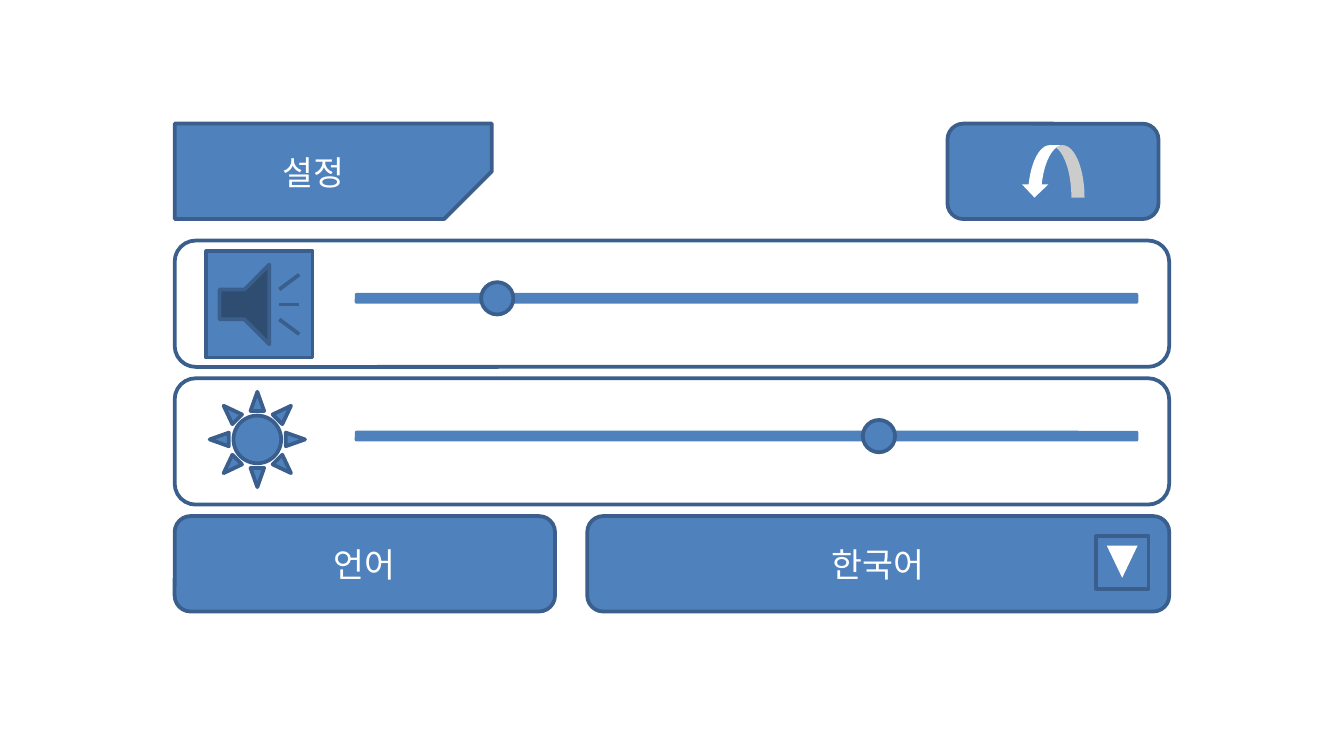
from pptx import Presentation
from pptx.dml.color import RGBColor as RGB
from pptx.enum.shapes import MSO_SHAPE as Kind
from pptx.enum.text import MSO_ANCHOR as Anchor, PP_ALIGN as Align
from pptx.oxml.ns import qn
from pptx.util import Inches, Pt
from lxml.etree import SubElement

THEME = {
    "fill": RGB.from_string("4F81BD"),
    "line": RGB.from_string("3A5F8C"),
    "white": RGB.from_string("FFFFFF"),
    "font": "Noto Sans CJK KR",
    "size": Pt(18),
    "edge": Pt(2),
}
CELL = Inches(0.1)  # the slide is a grid of 100 columns by 56.25 rows

deck = Presentation()
deck.slide_width = int(100 * CELL)
deck.slide_height = int(56.25 * CELL)
slide = deck.slides.add_slide(deck.slide_layouts[6])


def draw(kind, col, row, wide, high, fill="fill", edge=True, flip=None):
    """Add a shape placed in grid cells; flip is flipH or flipV."""
    shape = slide.shapes.add_shape(
        kind, *(int(n * CELL) for n in (col, row, wide, high)))
    shape.shadow.inherit = False
    if fill:
        shape.fill.solid()
        shape.fill.fore_color.rgb = THEME[fill]
    else:
        shape.fill.background()
    if edge:
        shape.line.color.rgb = THEME["line"]
        shape.line.width = THEME["edge"]
    else:
        shape.line.fill.background()
    if flip:
        shape._element.spPr.find(qn("a:xfrm")).set(flip, "1")
    return shape


def write(frame, text, align):
    frame.text = text
    frame.paragraphs[0].alignment = align
    run = frame.paragraphs[0].runs[0]
    run.font.name = THEME["font"]
    run.font.size = THEME["size"]
    run.font.color.rgb = THEME["white"]
    SubElement(run.font._element, qn("a:ea")).set("typeface", THEME["font"])


left, right = 13, 87
bar = 7.1  # height of the title and button rows

# Title tab and back button
tab = draw(Kind.SNIP_1_RECTANGLE, left, 9.2, 23.6, bar, flip="flipV")
tab.adjustments[0] = 0.5
title = slide.shapes.add_textbox(
    *(int(n * CELL) for n in (20.05, 10.8, 11, 4)))
title.text_frame.word_wrap = True
write(title.text_frame, "설정", Align.LEFT)
draw(Kind.ROUNDED_RECTANGLE, 70.5, 9.2, 15.7, bar)
draw(Kind.CURVED_DOWN_ARROW, 76, 10.8, 4.7, 3.9,
     fill="white", edge=False, flip="flipH")

# Sound and brightness sliders: icon, its place and size, knob column
sliders = [
    (Kind.ACTION_BUTTON_SOUND, 15.35, 0.8, 7.9, 35.8),
    (Kind.SUN, 15.6, 1, 7.1, 64.2),
]
for i, (icon, col, drop, size, knob) in enumerate(sliders):
    top = 17.9 + 10.25 * i
    draw(Kind.ROUNDED_RECTANGLE, left, top, right - left, 9.4, fill=None)
    draw(icon, col, top + drop, size, size)
    draw(Kind.ROUNDED_RECTANGLE, 26.4, top + 3.9, 58.3, 0.8, edge=False)
    draw(Kind.OVAL, knob, top + 3.1, 2.4, 2.4)

# Language row with its drop-down mark
for text, col, end in (("언어", left, 41.3), ("한국어", 43.7, right)):
    field = draw(Kind.ROUNDED_RECTANGLE, col, 38.4, end - col, bar)
    field.text_frame.vertical_anchor = Anchor.MIDDLE
    write(field.text_frame, text, Align.CENTER)
draw(Kind.RECTANGLE, 81.55, 39.9, 3.9, 3.9)
draw(Kind.ISOSCELES_TRIANGLE, 82.35, 40.6, 2.3, 2.4,
     fill="white", edge=False, flip="flipV")

deck.save("out.pptx")
